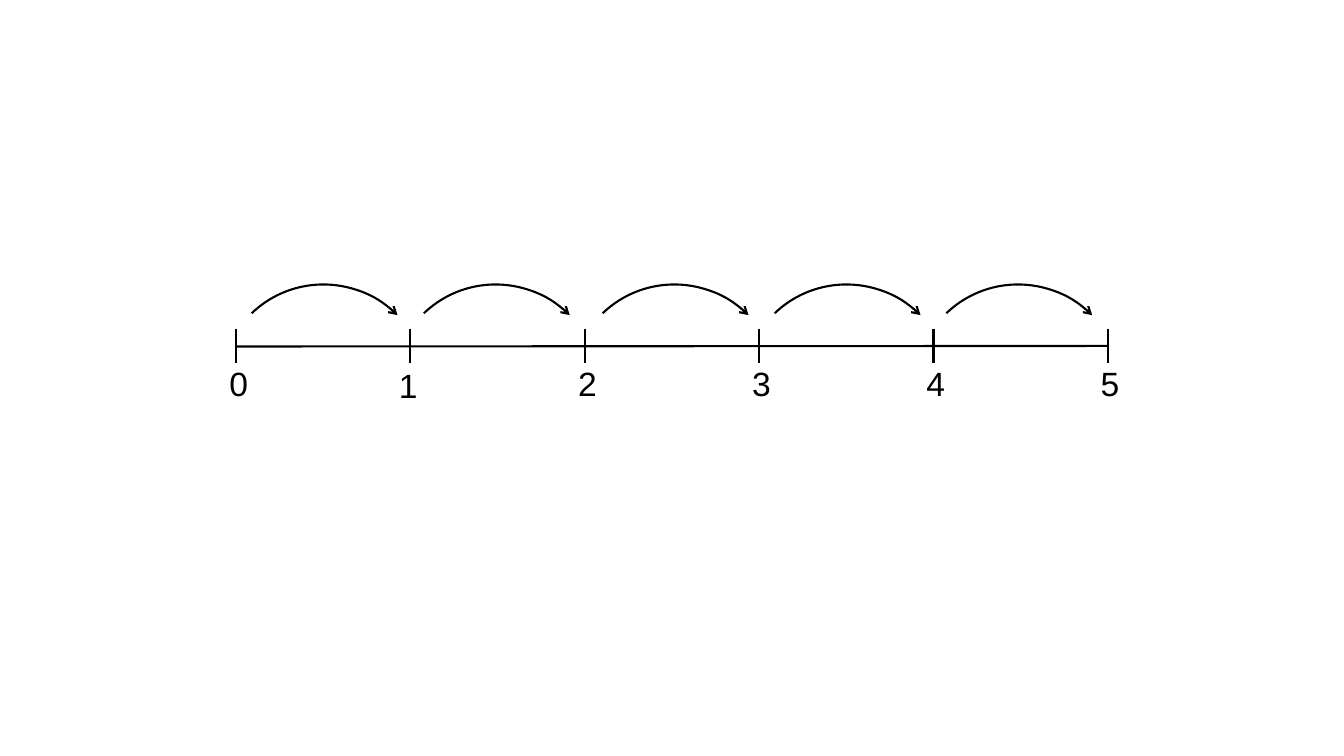
from lxml import etree
from pptx import Presentation
from pptx.dml.color import RGBColor
from pptx.enum.shapes import MSO_CONNECTOR, MSO_SHAPE
from pptx.enum.text import MSO_AUTO_SIZE
from pptx.oxml.ns import qn
from pptx.util import Pt

STRAIGHT = MSO_CONNECTOR.STRAIGHT
ARC = MSO_SHAPE.ARC
FIT_SHAPE = MSO_AUTO_SIZE.SHAPE_TO_FIT_TEXT
COLORS = {"ink": "000000"}
INK = RGBColor.from_string(COLORS["ink"])

AXIS_LEFT, AXIS_RIGHT = 168.6, 791.4
STEP = (AXIS_RIGHT - AXIS_LEFT) / 5
TICK_TOP, TICK_BOTTOM = 234.7, 259.2
LABEL_POSITIONS = [(156.8, 255.6), (277.8, 257), (405.8, 255.6),
                   (530.2, 255.6), (654.6, 255.6), (779.2, 255.6)]
JUMP_LEFTS = [157.6, 280.6, 408.3, 531.2, 653.8]

presentation = Presentation()
presentation.slide_width = Pt(960)
presentation.slide_height = Pt(540)
slide = presentation.slides.add_slide(presentation.slide_layouts[6])

# Number line with ticks
number_line = slide.shapes.add_group_shape()
segments = [(AXIS_LEFT, 247.5, AXIS_RIGHT, 247.1)]
for number in range(6):
    x = AXIS_LEFT + number * STEP
    segments.append((x, TICK_TOP, x, TICK_BOTTOM))
for segment in segments:
    connector = number_line.shapes.add_connector(STRAIGHT, *map(Pt, segment))
    connector.line.color.rgb = INK
    connector.line.width = Pt(1.5)
    etree.SubElement(connector._element.spPr, qn("a:effectLst"))

# Numbers below the ticks
for number, (left, top) in enumerate(LABEL_POSITIONS):
    label = slide.shapes.add_textbox(Pt(left), Pt(top), Pt(21.6), Pt(36))
    label.text_frame.word_wrap = True
    label.text_frame.auto_size = FIT_SHAPE
    run = label.text_frame.paragraphs[0].add_run()
    run.text = str(number)
    run.font.name = "Arial"
    run.font.size = Pt(24)
    run.font.color.rgb = INK

# Jumps from one number to the next
for left in JUMP_LEFTS:
    jump = slide.shapes.add_shape(ARC, Pt(left), Pt(202.8), Pt(148.3), Pt(149.8))
    jump.adjustments[0] = 162
    jump.adjustments[1] = 215.198
    jump.rotation = 316.1
    jump.shadow.inherit = False
    jump.fill.background()
    jump.line.color.rgb = INK
    jump.line.width = Pt(1.5)
    etree.SubElement(jump.line._get_or_add_ln(), qn("a:tailEnd"), type="arrow")

presentation.save("out.pptx")
